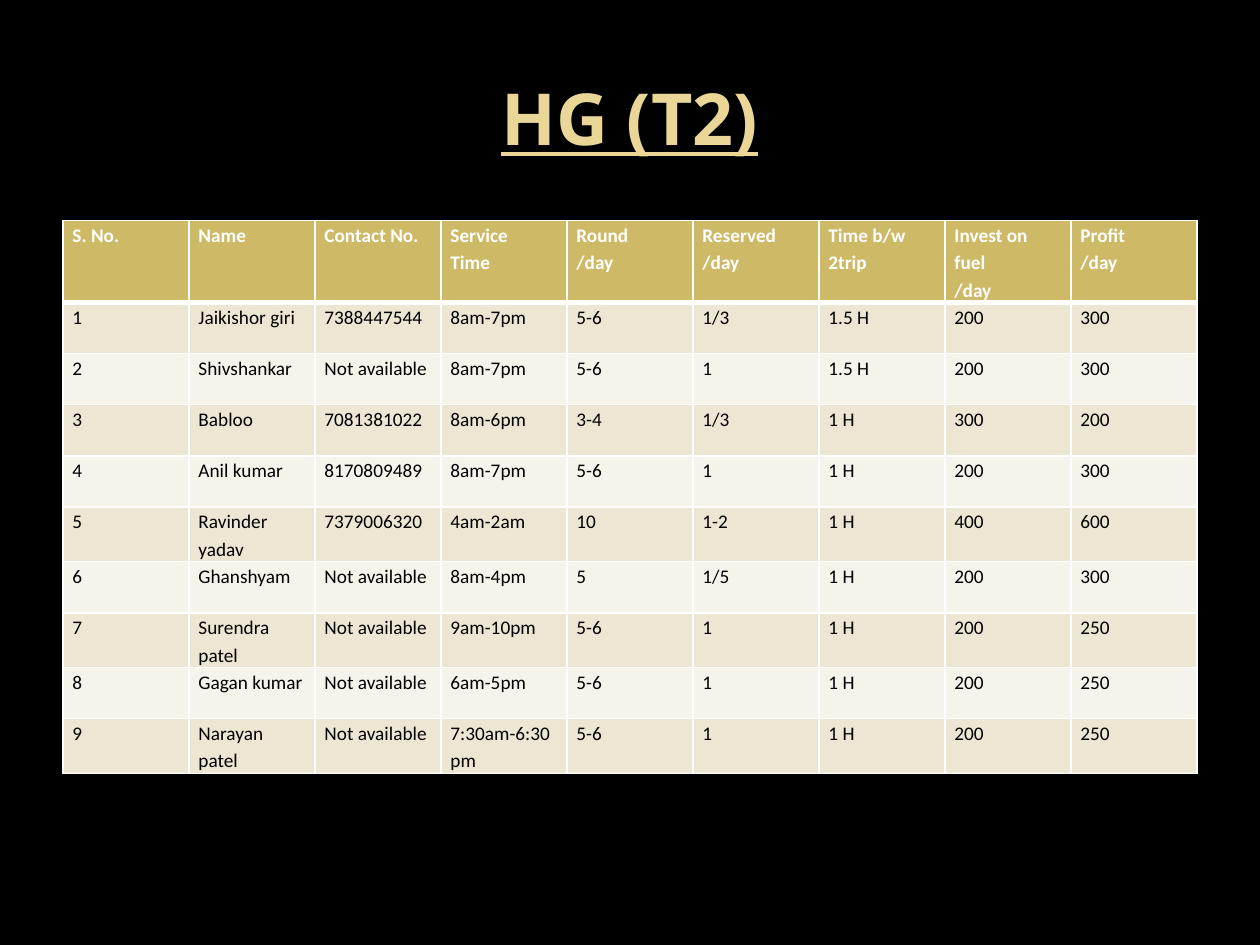
from pptx import Presentation
from pptx.dml.color import RGBColor
from pptx.enum.text import MSO_ANCHOR, PP_ALIGN
from pptx.oxml import parse_xml
from pptx.oxml.ns import nsdecls
from pptx.util import Pt

HEADINGS = [
    "S. No.", "Name", "Contact No.", "Service\nTime", "Round\n/day",
    "Reserved /day", "Time b/w 2trip", "Invest on fuel\n/day", "Profit\n/day",
]
DRIVERS = [
    ["Jaikishor giri", "7388447544", "8am-7pm", "5-6", "1/3", "1.5 H", "200", "300"],
    ["Shivshankar", "Not available", "8am-7pm", "5-6", "1", "1.5 H", "200", "300"],
    ["Babloo", "7081381022", "8am-6pm", "3-4", "1/3", "1 H", "300", "200"],
    ["Anil kumar", "8170809489", "8am-7pm", "5-6", "1", "1 H", "200", "300"],
    ["Ravinder yadav", "7379006320", "4am-2am", "10", "1-2", "1 H", "400", "600"],
    ["Ghanshyam", "Not available", "8am-4pm", "5", "1/5", "1 H", "200", "300"],
    ["Surendra patel", "Not available", "9am-10pm", "5-6", "1", "1 H", "200", "250"],
    ["Gagan kumar", "Not available", "6am-5pm", "5-6", "1", "1 H", "200", "250"],
    ["Narayan patel", "Not available", "7:30am-6:30pm", "5-6", "1", "1 H", "200", "250"],
]
HEADER_HEIGHT, ROW_HEIGHT, WRAPPED_HEIGHT = 46.9, 29.2, 31.3
WRAPPED_ROWS = {5, 7, 9}


def color(value):
    """Turn a hex string into a colour."""
    return RGBColor.from_string(value)


class SlideBuilder:
    """Hold the style and the current slide."""

    background = "000000"
    title_color = "EAD696"
    header_fill = "CEB966"
    bands = ["EDE6D3", "F6F3EA"]
    border = "FFFFFF"

    def __init__(self, page):
        """Set the slide to draw on and paint its background."""
        self.page = page
        page.background.fill.solid()
        page.background.fill.fore_color.rgb = color(self.background)

    def style(self, para, font_name, size, hex_color, bold):
        """Set the font of one paragraph."""
        font = para.font
        font.name, font.size, font.bold = font_name, Pt(size), bold
        font.color.rgb = color(hex_color)

    def title(self, text, left, top, width, height):
        """Add the centred, underlined title."""
        box = self.page.shapes.add_textbox(Pt(left), Pt(top), Pt(width), Pt(height))
        frame = box.text_frame
        frame.word_wrap = True
        frame.vertical_anchor = MSO_ANCHOR.MIDDLE
        para = frame.paragraphs[0]
        para.text = text
        para.alignment = PP_ALIGN.CENTER
        self.style(para, "Noto Sans", 41, self.title_color, True)
        para.font.underline = True

    def borders(self, cell, top, bottom):
        """Draw the four borders of a cell, with widths in points."""
        properties = cell._tc.get_or_add_tcPr()
        sides = {"L": 1, "R": 1, "T": top, "B": bottom}
        for index, (side, width) in enumerate(sides.items()):
            line = parse_xml(
                f'<a:ln{side} {nsdecls("a")} w="{Pt(width)}"><a:solidFill>'
                f'<a:srgbClr val="{self.border}"/></a:solidFill></a:ln{side}>'
            )
            properties.insert(index, line)

    def cell(self, cell, text, row):
        """Fill one table cell according to its row."""
        header = row == 0
        cell.text = text
        cell.margin_left = cell.margin_right = Pt(5.4)
        cell.margin_top = cell.margin_bottom = 0
        cell.fill.solid()
        fill = self.header_fill if header else self.bands[(row - 1) % 2]
        cell.fill.fore_color.rgb = color(fill)
        for para in cell.text_frame.paragraphs:
            para.line_spacing = 1.15
            self.style(para, "Calibri", 11, "FFFFFF" if header else "000000", header)
        self.borders(cell, top=3 if row == 1 else 1, bottom=3 if header else 1)

    def table(self, rows, left, top, width, heights):
        """Add a table with equal columns and the given row heights."""
        frame = self.page.shapes.add_table(
            len(rows), len(rows[0]), Pt(left), Pt(top), Pt(width), Pt(sum(heights))
        )
        grid = frame.table
        grid.horz_banding = False
        for row, (texts, height) in enumerate(zip(rows, heights)):
            grid.rows[row].height = Pt(height)
            for column, text in enumerate(texts):
                self.cell(grid.cell(row, column), text, row)


def main():
    """Build the slide and save it."""
    deck = Presentation()
    deck.slide_width, deck.slide_height = Pt(720), Pt(540)
    builder = SlideBuilder(deck.slides.add_slide(deck.slide_layouts[6]))
    builder.title("HG (T2)", 36, 21.6, 648, 90)
    rows = [[str(number), *driver] for number, driver in enumerate(DRIVERS, 1)]
    heights = [HEADER_HEIGHT] + [
        WRAPPED_HEIGHT if number in WRAPPED_ROWS else ROW_HEIGHT
        for number in range(1, len(rows) + 1)
    ]
    builder.table([HEADINGS, *rows], left=36, top=126, width=648, heights=heights)
    deck.save("out.pptx")


if __name__ == "__main__":
    main()
